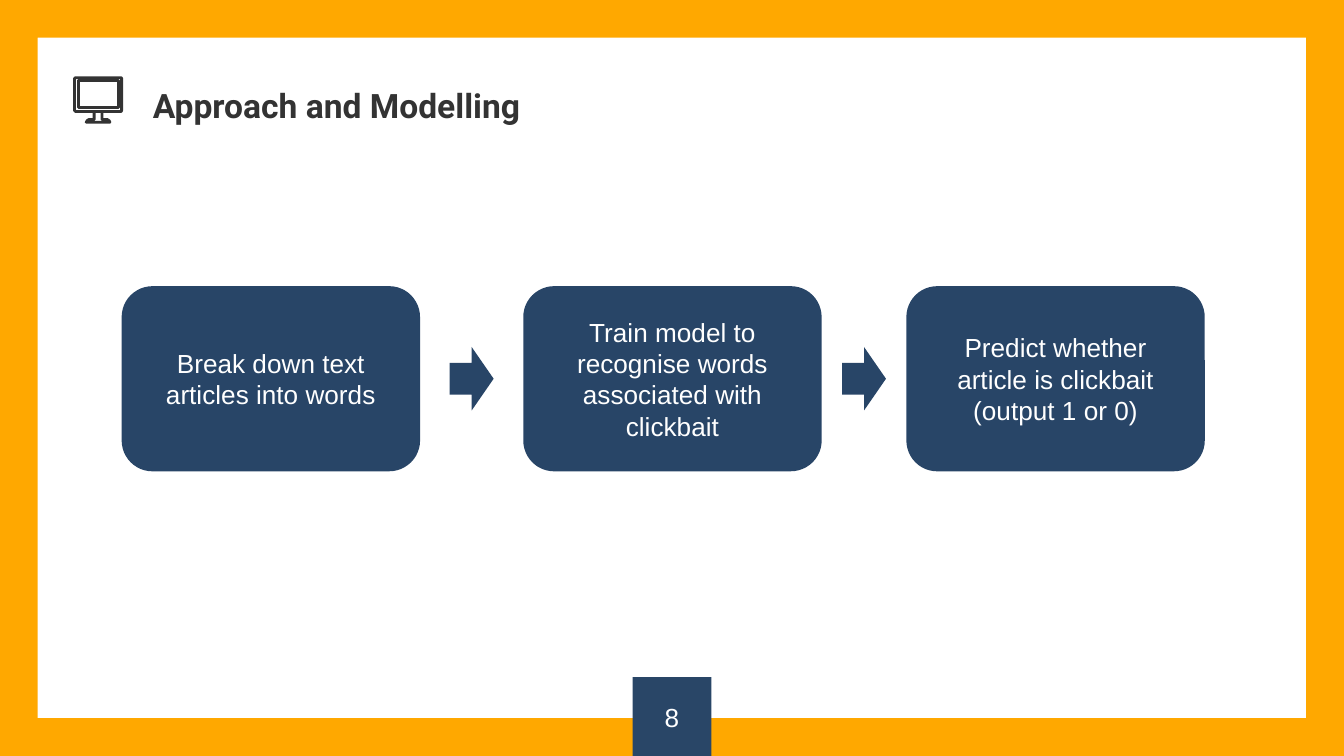
from dataclasses import dataclass

from pptx import Presentation
from pptx.dml.color import RGBColor
from pptx.enum.shapes import MSO_SHAPE
from pptx.enum.text import MSO_ANCHOR, PP_ALIGN
from pptx.shapes.autoshape import Shape
from pptx.slide import Slide
from pptx.util import Cm, Pt

ORANGE = RGBColor(0xFF, 0xA8, 0x00)
NAVY = RGBColor(0x28, 0x45, 0x67)
PAGE_NAVY = RGBColor(0x29, 0x46, 0x67)
WHITE = RGBColor(0xFF, 0xFF, 0xFF)
CHARCOAL = RGBColor(0x33, 0x33, 0x33)

SLIDE_WIDTH, SLIDE_HEIGHT = 25.4, 14.29
STEP_TOP, STEP_WIDTH, STEP_HEIGHT = 5.41, 5.64, 3.5
ARROW_WIDTH, ARROW_HEIGHT = 0.83, 1.2
PAGE_TAB = 1.49

Point = tuple[int, int]


@dataclass(frozen=True)
class Step:
    left: float
    text: str


STEPS = [
    Step(2.3, "Break down text articles into words"),
    Step(9.89, "Train model to recognise words associated with clickbait"),
    Step(17.13, "Predict whether article is clickbait\n(output 1 or 0)"),
]

# Icon outlines, in hundredths of a centimetre
STAND = [(178, 212), (178, 226), (168, 226), (165, 228), (163, 231),
         (208, 231), (206, 228), (203, 226), (193, 226), (193, 212)]
SCREEN = [(143, 147), (229, 147), (230, 148), (230, 209),
          (229, 211), (143, 211), (141, 209), (141, 148)]
SCREEN_OPENING = [(224, 203), (148, 203), (148, 153), (224, 153)]


def add_filled(page: Slide, kind: MSO_SHAPE, left: float, top: float,
               width: float, height: float, color: RGBColor) -> Shape:
    shape = page.shapes.add_shape(kind, Cm(left), Cm(top), Cm(width), Cm(height))
    shape.shadow.inherit = False
    shape.fill.solid()
    shape.fill.fore_color.rgb = color
    shape.line.fill.background()
    return shape


def write_centred(shape: Shape, text: str) -> None:
    frame = shape.text_frame
    frame.text = text
    frame.word_wrap = True
    frame.vertical_anchor = MSO_ANCHOR.MIDDLE
    for para in frame.paragraphs:
        para.alignment = PP_ALIGN.CENTER
        for span in para.runs:
            span.font.name = "Arial"
            span.font.size = Pt(14)
            span.font.color.rgb = WHITE


def add_outline(page: Slide, contours: list[list[Point]], close: bool) -> None:
    """Draw one unfilled shape made of one or more contours."""
    builder = page.shapes.build_freeform(*contours[0][0], scale=Cm(0.01))
    for number, contour in enumerate(contours):
        if number:
            builder.move_to(*contour[0])
        builder.add_line_segments(contour[1:], close=close)
    outline = builder.convert_to_shape()
    outline.shadow.inherit = False
    outline.fill.background()
    outline.line.color.rgb = CHARCOAL
    outline.line.width = Pt(1.5)


def add_title(page: Slide, text: str) -> None:
    box = page.shapes.add_textbox(Cm(2.64), Cm(1.5), Cm(14.5), Cm(1.12))
    frame = box.text_frame
    frame.text = text
    frame.word_wrap = True
    frame.vertical_anchor = MSO_ANCHOR.BOTTOM
    frame.margin_top = frame.margin_bottom = Cm(0.25)
    font = frame.paragraphs[0].runs[0].font
    font.name = "Roboto"
    font.size = Pt(18)
    font.bold = True
    font.color.rgb = CHARCOAL


def add_steps(page: Slide) -> None:
    for step in STEPS:
        box = add_filled(page, MSO_SHAPE.ROUNDED_RECTANGLE, step.left, STEP_TOP,
                         STEP_WIDTH, STEP_HEIGHT, NAVY)
        write_centred(box, step.text)
    arrow_top = STEP_TOP + (STEP_HEIGHT - ARROW_HEIGHT) / 2
    for before, after in zip(STEPS, STEPS[1:]):
        gap_middle = (before.left + STEP_WIDTH + after.left) / 2
        add_filled(page, MSO_SHAPE.RIGHT_ARROW, gap_middle - ARROW_WIDTH / 2,
                   arrow_top, ARROW_WIDTH, ARROW_HEIGHT, NAVY)


def main() -> None:
    deck = Presentation()
    deck.slide_width, deck.slide_height = Cm(SLIDE_WIDTH), Cm(SLIDE_HEIGHT)
    page = deck.slides.add_slide(deck.slide_layouts[6])

    border = add_filled(page, MSO_SHAPE.FRAME, 0, 0, SLIDE_WIDTH, SLIDE_HEIGHT, ORANGE)
    border.adjustments[0] = 0.05
    page_tab = add_filled(page, MSO_SHAPE.RECTANGLE, (SLIDE_WIDTH - PAGE_TAB) / 2,
                          SLIDE_HEIGHT - PAGE_TAB, PAGE_TAB, PAGE_TAB, PAGE_NAVY)
    write_centred(page_tab, "8")

    add_title(page, "Approach and Modelling")
    add_outline(page, [STAND], close=False)
    add_outline(page, [SCREEN, SCREEN_OPENING], close=True)
    add_steps(page)
    deck.save("out.pptx")


if __name__ == "__main__":
    main()
